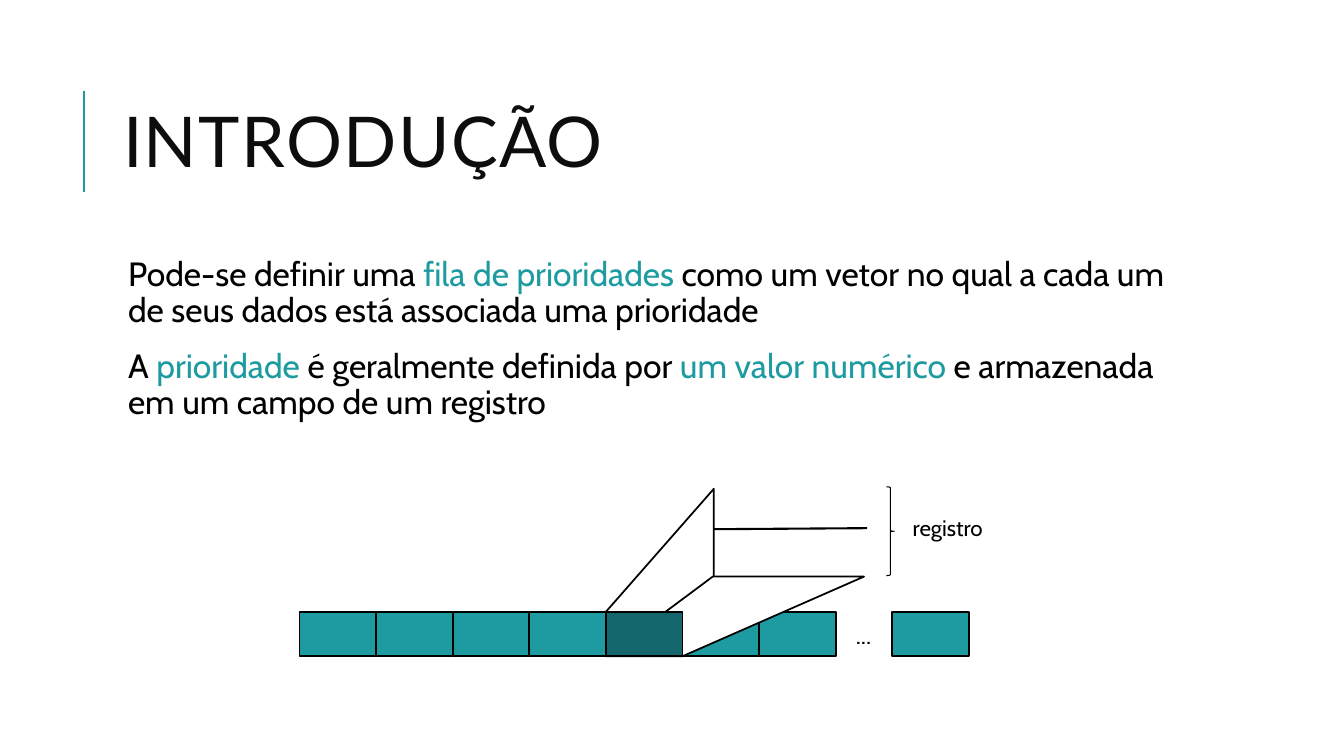
from pptx import Presentation
from pptx.dml.color import RGBColor
from pptx.enum.shapes import MSO_CONNECTOR, MSO_SHAPE
from pptx.enum.text import MSO_ANCHOR, MSO_AUTO_SIZE, PP_ALIGN
from pptx.oxml.ns import qn
from pptx.util import Pt
from lxml.etree import SubElement

PX = 9144  # EMU per px, 100 px to the inch
TEAL = RGBColor(0x1D, 0x9B, 0xA1)
DARK_TEAL = RGBColor(0x13, 0x67, 0x6C)
BLACK = RGBColor(0, 0, 0)
INK = RGBColor(0x0D, 0x0D, 0x0D)
WHITE = RGBColor(0xFF, 0xFF, 0xFF)

CELL_LEFT, CELL_TOP, CELL_W, CELL_H = 297, 607, 76, 44
RECORD_CELL = 4
CELL_COUNT = 7
LAST_CELL_LEFT = 885

BODY = [
    [("Pode-se definir uma ", BLACK), ("fila de prioridades ", TEAL),
     ("como um vetor no qual a cada um de seus dados está associada uma prioridade", BLACK)],
    [("A ", BLACK), ("prioridade", TEAL), (" é geralmente definida por ", BLACK),
     ("um valor numérico", TEAL), (" e armazenada em um campo de um registro", BLACK)],
]


def place(s, left, top, width, height):
    s.left, s.top, s.width, s.height = (v * PX for v in (left, top, width, height))


def add_run(p, text, size, color, font="Cabin"):
    r = p.add_run()
    r.text = text
    r.font.size = Pt(size)
    r.font.name = font
    r.font.color.rgb = color
    return r


def paint(s, fill, weight=1.25):
    s.shadow.inherit = False
    if fill is None:
        s.fill.background()
    else:
        s.fill.solid()
        s.fill.fore_color.rgb = fill
    s.line.color.rgb = BLACK
    s.line.width = Pt(weight)


def add_preset(slide, kind, box, fill, weight=1.25):
    s = slide.shapes.add_shape(kind, *(v * PX for v in box))
    paint(s, fill, weight)


def add_cell(slide, left, fill=TEAL):
    add_preset(slide, MSO_SHAPE.RECTANGLE, (left, CELL_TOP, CELL_W, CELL_H), fill)


def add_outline(slide, points):
    (x, y), *rest = points
    builder = slide.shapes.build_freeform(x, y, scale=PX)
    builder.add_line_segments(rest, close=True)
    paint(builder.convert_to_shape(), WHITE)


def add_line(slide, start, end, color):
    s = slide.shapes.add_connector(MSO_CONNECTOR.STRAIGHT, *(v * PX for v in start + end))
    s.line.color.rgb = color
    s.line.width = Pt(1.5)
    SubElement(s._element.spPr, qn("a:effectLst"))


def add_label(slide, box, text, size, wrap=True, align=PP_ALIGN.LEFT):
    tf = slide.shapes.add_textbox(*(v * PX for v in box)).text_frame
    tf.word_wrap = wrap
    p = tf.paragraphs[0]
    p.alignment = align
    add_run(p, text, size, BLACK)


def fill_title(s):
    place(s, 112, 64, 1063, 164)
    tf = s.text_frame
    tf.auto_size = MSO_AUTO_SIZE.NONE
    tf.vertical_anchor = MSO_ANCHOR.MIDDLE
    p = tf.paragraphs[0]
    p.alignment = PP_ALIGN.LEFT
    p.line_spacing = 0.8
    r = add_run(p, "INTRODUÇÃO", 50, INK, "Lato")
    r.font._element.set("spc", "100")


def fill_body(s):
    place(s, 112, 250, 1063, 440)
    tf = s.text_frame
    tf.auto_size = MSO_AUTO_SIZE.NONE
    tf.margin_left = tf.margin_right = tf.margin_top = tf.margin_bottom = 5 * PX
    for i, runs in enumerate(BODY):
        p = tf.add_paragraph() if i else tf.paragraphs[0]
        p.line_spacing = 0.9
        p.space_before, p.space_after = Pt(12), Pt(2)
        pPr = p._p.get_or_add_pPr()
        pPr.set("marL", str(10 * PX))
        pPr.set("indent", "0")
        SubElement(pPr, qn("a:buNone"))
        for text, color in runs:
            add_run(p, text, 24, color)


def main():
    prs = Presentation()
    prs.slide_width, prs.slide_height = 1333 * PX, 750 * PX
    slide = prs.slides.add_slide(prs.slide_layouts[1])

    # Title with its accent line, and the definition
    add_line(slide, (83, 190), (83, 90), TEAL)
    fill_title(slide.shapes.title)
    fill_body(slide.placeholders[1])

    # Vector cells
    for i in range(CELL_COUNT):
        if i != RECORD_CELL:
            add_cell(slide, CELL_LEFT + i * CELL_W)
    add_cell(slide, LAST_CELL_LEFT)
    add_label(slide, (839, 609, 40, 40), "...", 18, wrap=False)

    # Record unfolding from the dark cell
    left = CELL_LEFT + RECORD_CELL * CELL_W
    right, bottom = left + CELL_W, CELL_TOP + CELL_H
    add_outline(slide, [(left, CELL_TOP), (left, bottom), (708, 573), (708, 485)])
    add_outline(slide, [(707, 572), (857, 572), (right, bottom), (left, bottom)])
    add_cell(slide, left, DARK_TEAL)
    add_line(slide, (860, 524), (708, 525), BLACK)

    # Brace and its label
    add_preset(slide, MSO_SHAPE.RIGHT_BRACE, (879, 483, 8, 88), None, 0.75)
    add_label(slide, (894, 505, 92, 37), "registro", 16, align=PP_ALIGN.CENTER)

    prs.save("out.pptx")


if __name__ == "__main__":
    main()
